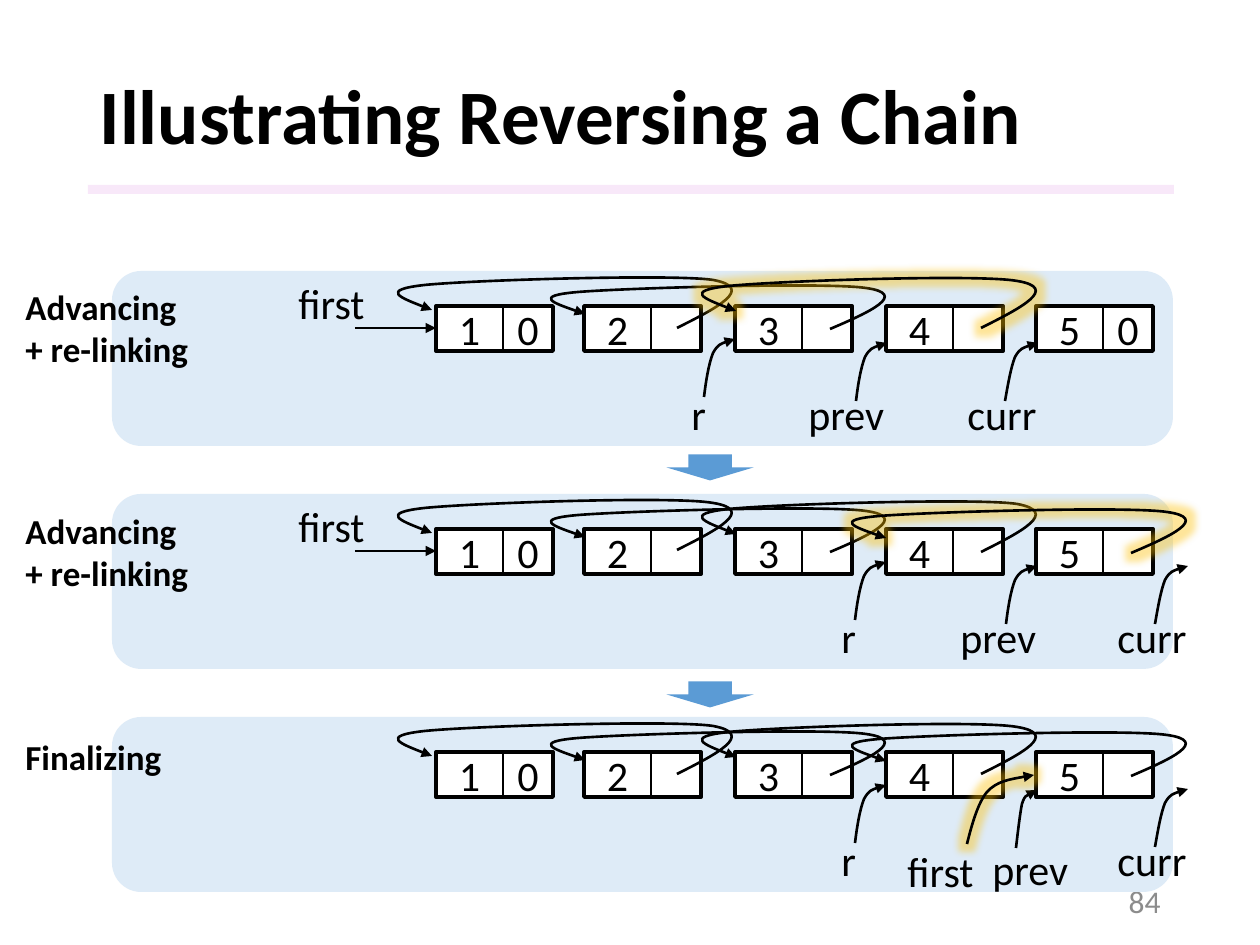
from lxml.etree import SubElement
from pptx import Presentation
from pptx.dml.color import RGBColor
from pptx.enum.shapes import MSO_CONNECTOR, MSO_SHAPE as Geometry
from pptx.enum.text import MSO_ANCHOR as Anchor, PP_ALIGN as Align
from pptx.oxml.ns import qn
from pptx.util import Pt

PX = 914400 / 126
color = RGBColor.from_string

deck = Presentation()
deck.slide_width, deck.slide_height = round(1260 * PX), round(945 * PX)
page = deck.slides.add_slide(deck.slide_layouts[5])
shapes = page.shapes


def add_box(geometry, left, top, width, height, fill=None, line=0, text="", size=24,
            bold=False, ink="000000", align=Align.LEFT, anchor=Anchor.TOP, wrap=False):
    place = [round(value * PX) for value in (left, top, width, height)]
    if geometry is None:
        box = shapes.add_textbox(*place)
    else:
        box = shapes.add_shape(geometry, *place)
        box.shadow.inherit = False
    if fill:
        box.fill.solid()
        box.fill.fore_color.rgb = color(fill)
    else:
        box.fill.background()
    if line:
        box.line.color.rgb = color("000000")
        box.line.width = Pt(line)
    else:
        box.line.fill.background()
    if text:
        frame = box.text_frame
        frame.text = text
        frame.word_wrap = wrap
        frame.vertical_anchor = anchor
        for para in frame.paragraphs:
            para.alignment = align
            for span in para.runs:
                span.font.name = "Calibri"
                span.font.size = Pt(size)
                span.font.bold = bold
                span.font.color.rgb = color(ink)
    return box


def add_curve(tip_x, tip_y, width, height, ratios, glow=False):
    points = [(round(tip_x + x * width), round(tip_y + y * height)) for x, y in ratios]
    samples = []
    for start in range(0, len(points) - 1, 3):
        a, b, c, d = points[start:start + 4]
        for step in range(1, 21):
            t = step / 20
            u = 1 - t
            samples.append([u**3 * a[i] + 3 * u * u * t * b[i] + 3 * u * t * t * c[i] + t**3 * d[i]
                            for i in (0, 1)])
    builder = shapes.build_freeform(*points[0], scale=PX)
    builder.add_line_segments(samples, close=False)
    curve = builder.convert_to_shape()
    outline = curve.element.find(".//" + qn("a:path"))
    for segment in outline.findall(qn("a:lnTo")):
        outline.remove(segment)
    left, top = round(curve.left / PX), round(curve.top / PX)
    for start in range(1, len(points), 3):
        bezier = SubElement(outline, qn("a:cubicBezTo"))
        for x, y in points[start:start + 3]:
            SubElement(bezier, qn("a:pt"), x=str(x - left), y=str(y - top))
    curve.fill.background()
    curve.line.color.rgb = color("000000")
    curve.line.width = Pt(1.5)
    curve.shadow.inherit = False
    properties = curve.element.spPr
    SubElement(properties.find(qn("a:ln")), qn("a:tailEnd"), type="triangle")
    if glow:
        halo = SubElement(properties.find(qn("a:effectLst")), qn("a:glow"), rad=str(Pt(8)))
        tint = SubElement(halo, qn("a:srgbClr"), val="FFC000")
        SubElement(tint, qn("a:alpha"), val="40000")


bar = add_box(Geometry.RECTANGLE, 88, 185, 1086, 9, "F3D2F4")
bar_color = bar.element.spPr.find(qn("a:solidFill")).find(qn("a:srgbClr"))
SubElement(bar_color, qn("a:alpha"), val="50000")

title = shapes.title
title.left, title.top, title.width, title.height = [round(v * PX) for v in (87, 50, 1086, 140)]
title.text_frame.text = "Illustrating Reversing a Chain"
title.text_frame.vertical_anchor = Anchor.MIDDLE
para = title.text_frame.paragraphs[0]
para.alignment = Align.LEFT
para.line_spacing = 0.9
font = para.runs[0].font
font.name, font.size, font.bold = "Calibri", Pt(44), True
font.color.rgb = color("000000")

add_box(None, 890, 876, 283, 50, text="84", size=18, ink="8C8C8C",
        align=Align.RIGHT, anchor=Anchor.MIDDLE, wrap=True)
for top in (424, 651):
    add_box(Geometry.RIGHT_ARROW, 697, top, 26, 87, "5B9BD5").rotation = 90

POINTER = [(-1, 1), (-0.92, 0.71), (-0.83, 0.41), (-0.7, 0.24), (-0.55, 0.09), (-0.25, 0.04), (0, 0)]
LINK = [(0.74, 0.35), (0.86, -0.05), (0.98, -0.45), (0.85, -0.6), (0.73, -0.73),
        (0.13, -0.6), (-0.02, -0.5), (-0.16, -0.4), (-0.08, -0.2), (0, 0)]
LINK_TIPS = [(432, 39, 50), (585, 43, 44), (736, 40, 50), (886, 44, 44)]
NODE_LEFTS = [436, 584, 735, 886, 1036]
LABEL_WIDTHS = {"first": 92, "r": 40, "prev": 102, "curr": 96}

rows = [
    dict(caption="Advancing\n+ re-linking", caption_top=8, ends=(0, 4), links=3, glow_link=2,
         labels=[("first", 286, 0), ("r", 679, 111), ("prev", 796, 111), ("curr", 955, 111)],
         pointers=[(735, 68, 31, 58), (887, 72, 31, 58), (1038, 72, 33, 58)]),
    dict(caption="Advancing\n+ re-linking", caption_top=9, ends=(0,), links=4, glow_link=3,
         labels=[("first", 286, 0), ("r", 829, 111), ("prev", 948, 111), ("curr", 1105, 111)],
         pointers=[(886, 68, 31, 58), (1037, 72, 31, 58), (1188, 72, 33, 58)]),
    dict(caption="Finalizing", caption_top=12, ends=(0,), links=4, glow_link=None,
         labels=[("r", 829, 111), ("prev", 980, 120), ("curr", 1105, 111), ("first", 895, 122)],
         pointers=[(886, 68, 31, 58), (1037, 73, 21, 58), (1188, 72, 33, 58), (1034, 58, 67, 69)]),
]

for index, row in enumerate(rows):
    top = 271 + 223 * index
    add_box(Geometry.ROUNDED_RECTANGLE, 112, top, 1061, 175, "DEEBF7")
    for node, left in enumerate(NODE_LEFTS):
        end = "0" if node in row["ends"] else ""
        for x, width, text in ((left, 67, str(node + 1)), (left + 67, 50, end)):
            add_box(Geometry.RECTANGLE, x, top + 35, width, 45, "FFFFFF", 1, text,
                    align=Align.CENTER, anchor=Anchor.MIDDLE, wrap=True)
        add_box(Geometry.RECTANGLE, left, top + 35, 117, 45, line=2.25)
    for name, left, offset in row["labels"]:
        add_box(None, left, top + offset, LABEL_WIDTHS[name], 63, text=name)
    if index < 2:
        arrow = shapes.add_connector(MSO_CONNECTOR.STRAIGHT, *[
            round(v * PX) for v in (355, top + 57, 436, top + 57)])
        arrow.line.color.rgb = color("000000")
        arrow.line.width = Pt(1.5)
        SubElement(arrow.element.spPr.find(qn("a:ln")), qn("a:tailEnd"), type="triangle")
        SubElement(arrow.element.spPr, qn("a:effectLst"))
    for number, (x, y, height) in enumerate(LINK_TIPS[:row["links"]]):
        add_curve(x, top + y, 331, height, LINK, glow=number == row["glow_link"])
    for number, (x, y, width, height) in enumerate(row["pointers"]):
        add_curve(x, top + y, width, height, POINTER, glow=number == 3)
    lines = row["caption"].count("\n") + 1
    add_box(None, 13, top + row["caption_top"], 200, 13 + 42 * lines,
            text=row["caption"], size=20, bold=True, wrap=True)

deck.save("out.pptx")
